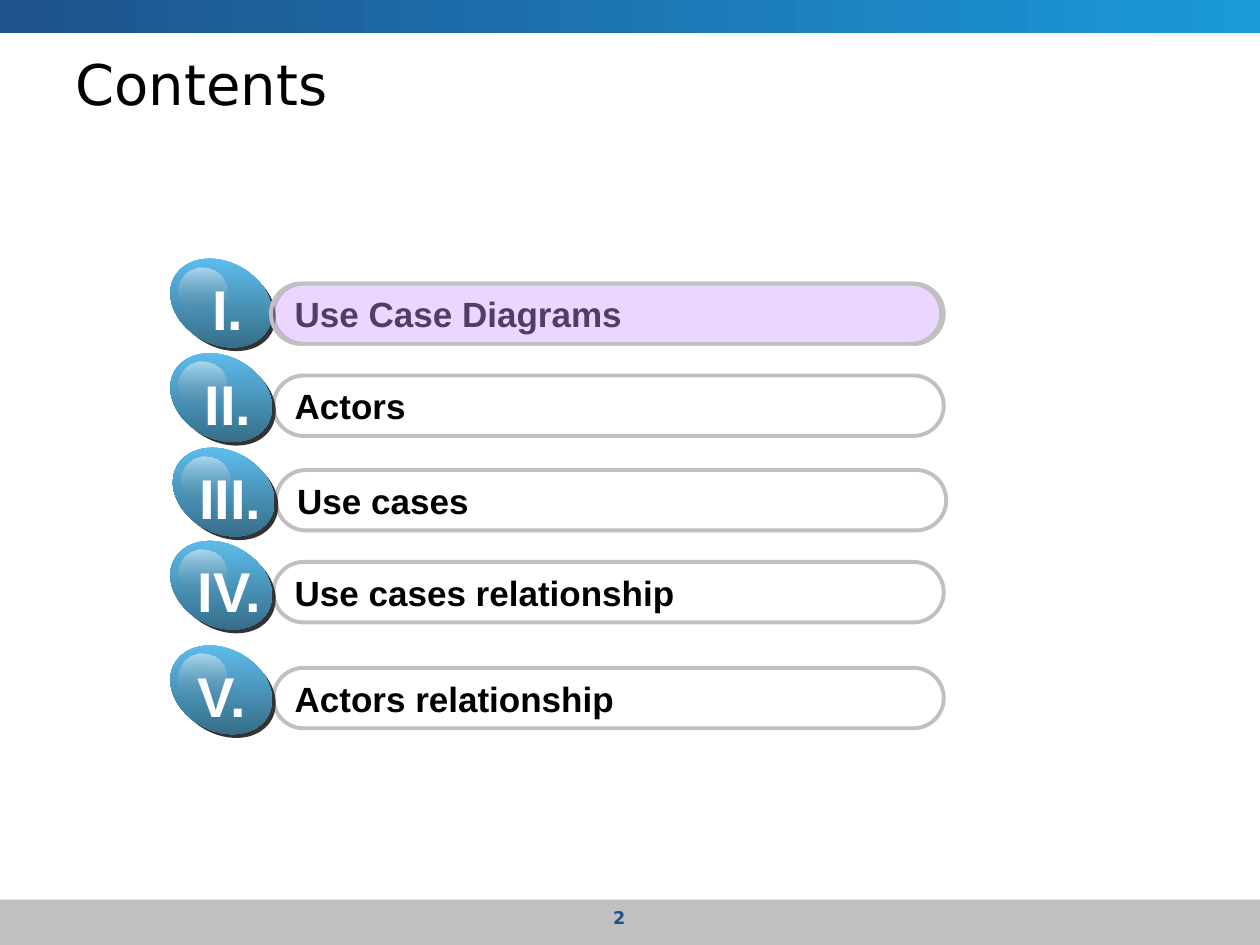
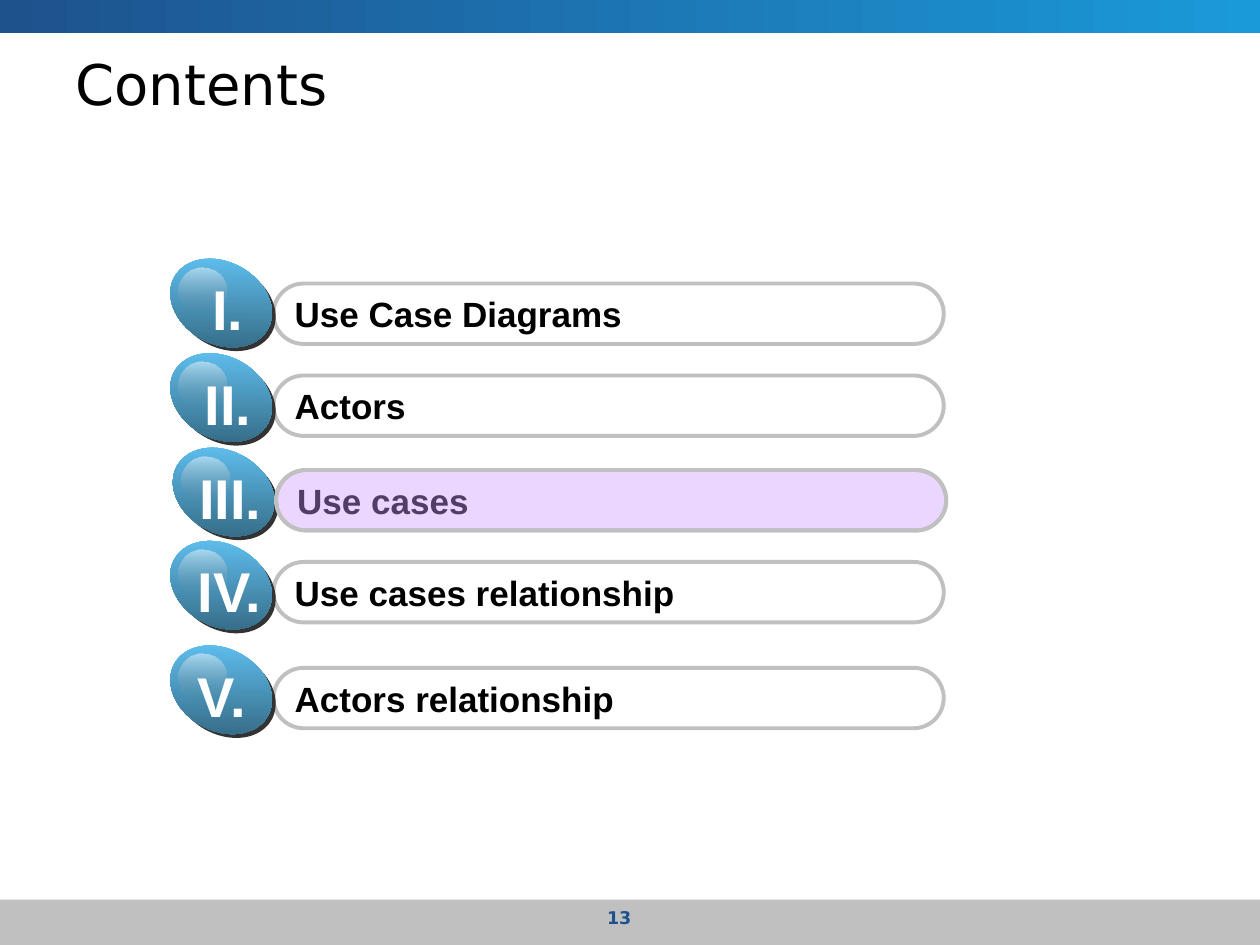
from collections import namedtuple

from lxml.etree import SubElement
from pptx import Presentation
from pptx.dml.color import RGBColor
from pptx.enum.shapes import MSO_SHAPE as SHAPE
from pptx.enum.text import MSO_ANCHOR as ANCHOR, PP_ALIGN as ALIGN
from pptx.oxml.ns import qn
from pptx.util import Inches, Pt

COLS, ROWS = 100, 75
CELL = Inches(10) // COLS

BLUE, SKY, GREY = "1D528D", "1B9AD9", "C0C0C0"
BLACK, WHITE, SHADE = "000000", "FFFFFF", "333333"
BALL_LIGHT, BALL_DARK, GLOSS_END = "66CCFF", "2F5E76", "767676"
TINT = "CC99FF"

TITLE_FONT = {"name": "DejaVu Sans", "size": Pt(32), "bold": False}
PAGE_FONT = {"name": "DejaVu Sans", "size": Pt(10), "bold": True}
TOPIC_FONT = {"name": "Arial", "size": Pt(20), "bold": True}
NUMERAL_FONT = {"name": "Arial", "size": Pt(32), "bold": True}

Box = namedtuple("Box", "x y w h")
Topic = namedtuple("Topic", "numeral label x y pill_y center", defaults=(4.8,))

TOPICS = [
    Topic("I.", "Use Case Diagrams", 13.3, 20.8, 22.5),
    Topic("II.", "Actors", 13.3, 28.3, 29.8),
    Topic("III.", "Use cases", 13.5, 35.8, 37.3),
    Topic("IV.", "Use cases relationship", 13.3, 43.2, 44.6, 4.9),
    Topic("V.", "Actors relationship", 13.3, 51.5, 53, 4.3),
]


def rgb(color):
    """Turn a hex string into a colour."""
    return RGBColor.from_string(color)


def cells(box):
    """Turn a box in grid cells into slide lengths."""
    return [round(v * CELL) for v in box]


def inside(box, x, y, w, h):
    """Place a box relative to the corner of another."""
    return Box(box.x + x, box.y + y, w, h)


def set_alpha(sp, *shares):
    """Set the opacity in percent of each fill colour in turn."""
    for clr, share in zip(sp._element.spPr.iter(qn("a:srgbClr")), shares):
        SubElement(clr, qn("a:alpha")).set("val", str(share * 1000))


def add_form(shapes, kind, box, color=None, line=None):
    """Add a preset shape with an optional solid fill and outline."""
    sp = shapes.add_shape(kind, *cells(box))
    sp.shadow.inherit = False
    if color:
        sp.fill.solid()
        sp.fill.fore_color.rgb = rgb(color)
    else:
        sp.fill.background()
    if line:
        sp.line.color.rgb = rgb(line)
        sp.line.width = Pt(2.25)
    else:
        sp.line.fill.background()
    return sp


def blend(sp, colors, angle):
    """Fill a shape with a two-colour gradient, angle clockwise."""
    sp.fill.gradient()
    sp.fill.gradient_angle = (360 - angle) % 360
    for stop, color in zip(sp.fill.gradient_stops, colors):
        stop.color.rgb = rgb(color)


def write(sp, text, font, color, align=ALIGN.LEFT, anchor=ANCHOR.TOP, wrap=True):
    """Write one formatted paragraph in a shape."""
    tf = sp.text_frame
    tf.word_wrap, tf.vertical_anchor = wrap, anchor
    p = tf.paragraphs[0]
    p.alignment = align
    r = p.add_run()
    r.text = text
    for name, value in font.items():
        setattr(r.font, name, value)
    r.font.color.rgb = rgb(color)


def add_label(shapes, box, *args, **kwargs):
    """Add a text box with one paragraph."""
    write(shapes.add_textbox(*cells(box)), *args, **kwargs)


def add_frame(slide, box, title, page):
    """Add the bands, page number and title shared by the slides."""
    foot = inside(box, 0, 71.4, box.w, 3.6)
    add_form(slide.shapes, SHAPE.RECTANGLE, foot, GREY)
    band = add_form(slide.shapes, SHAPE.RECTANGLE, inside(box, 0, 0, box.w, 2.6))
    blend(band, (BLUE, SKY), 0)
    add_label(slide.shapes, inside(foot, 37.5, 0.1, 23.3, 2.8), str(page),
              PAGE_FONT, BLUE, align=ALIGN.CENTER)
    add_label(slide.shapes, inside(box, 5, 3.5, 90, 6.2), title,
              TITLE_FONT, BLACK, anchor=ANCHOR.MIDDLE)


def add_medal(slide, box, numeral, center):
    """Add a glossy tilted ball that carries a numeral."""
    shapes = slide.shapes.add_group_shape().shapes
    shade = add_form(shapes, SHAPE.OVAL, inside(box, 0.3, 0.3, box.w, box.h), SHADE)
    ball = add_form(shapes, SHAPE.OVAL, box)
    shade.rotation = ball.rotation = 29.3
    blend(ball, (BALL_LIGHT, BALL_DARK), 61)
    gloss = add_form(shapes, SHAPE.OVAL, inside(box, 0.9, 0.4, 3.8, 3.7))
    blend(gloss, (WHITE, GLOSS_END), 90)
    set_alpha(gloss, 50, 0)
    width = 7.4
    add_label(shapes, inside(box, center - width / 2, 0.5, width, 6.4), numeral,
              NUMERAL_FONT, WHITE, align=ALIGN.CENTER, wrap=False)


def add_pill(slide, box, color=None):
    """Add a fully rounded bar."""
    sp = add_form(slide.shapes, SHAPE.ROUNDED_RECTANGLE, box, color, GREY)
    sp.adjustments[0] = 0.5
    return sp


def add_topic(slide, box, topic, current, shift):
    """Add one topic row, tinted when it is the current one."""
    spot = inside(box, topic.x, topic.y, 8.5, 6.5)
    bar = inside(spot, 8.4, topic.pill_y - topic.y, 53.2, 4.8)
    write(add_pill(slide, bar), topic.label, TOPIC_FONT, BLACK, anchor=ANCHOR.MIDDLE)
    add_medal(slide, spot, topic.numeral, topic.center)
    if current:
        set_alpha(add_pill(slide, bar._replace(x=bar.x + shift), TINT), 40)


def add_contents(prs, page, current, shift=0):
    """Add a contents slide that highlights the current topic."""
    slide = prs.slides.add_slide(prs.slide_layouts[6])
    box = Box(0, 0, COLS, ROWS)
    add_frame(slide, box, "Contents", page)
    for topic in TOPICS:
        add_topic(slide, box, topic, topic.numeral == current, shift)


def main():
    """Build the presentation."""
    prs = Presentation()
    prs.slide_width, prs.slide_height = COLS * CELL, ROWS * CELL
    add_contents(prs, 2, "I.", shift=-0.2)
    add_contents(prs, 13, "III.")
    prs.save("out.pptx")


if __name__ == "__main__":
    main()
